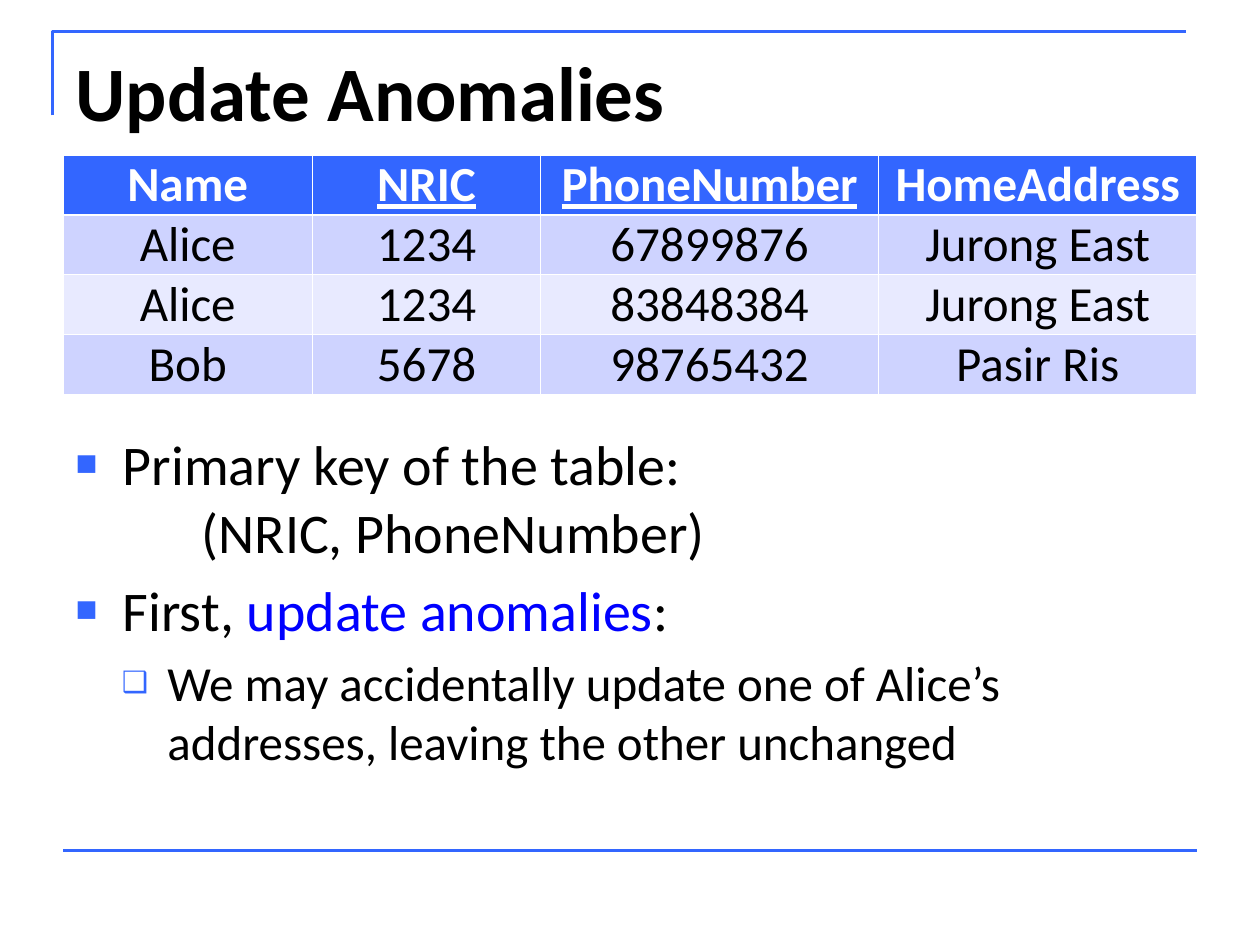
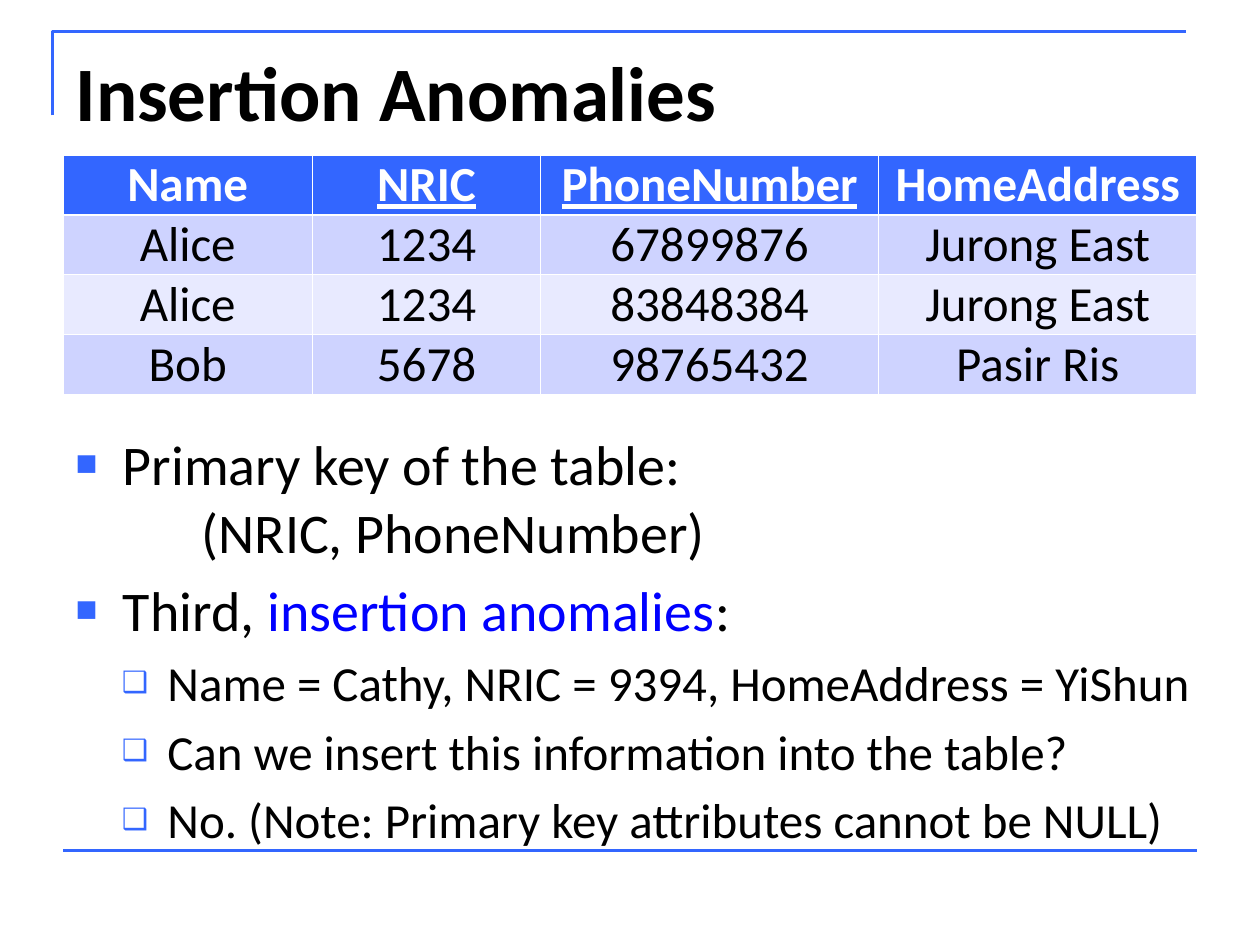
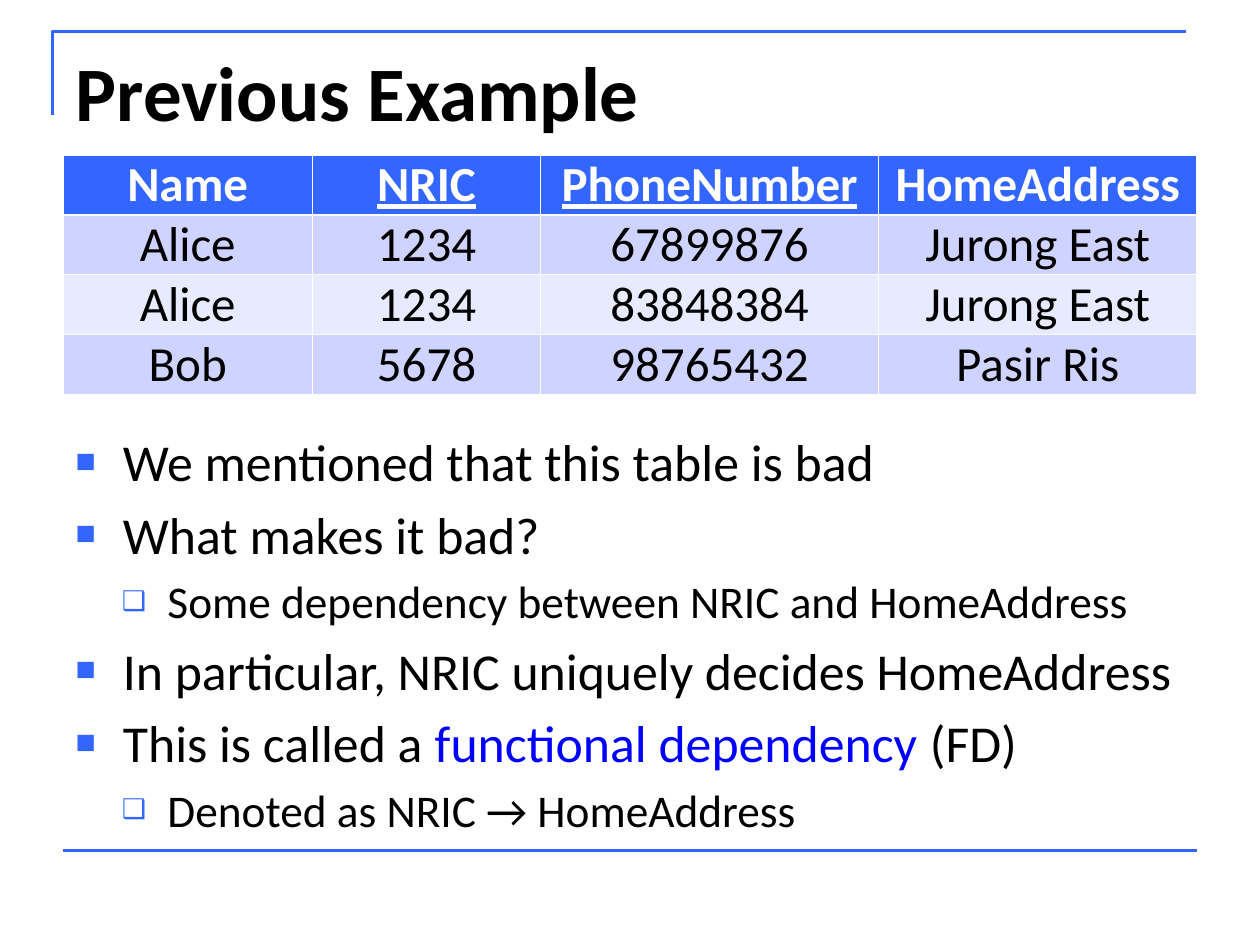
from lxml.etree import SubElement as Sub
from pptx import Presentation
from pptx.dml.color import RGBColor
from pptx.enum.shapes import MSO_CONNECTOR as Link
from pptx.enum.text import MSO_ANCHOR as Anchor, MSO_AUTO_SIZE as Fit, PP_ALIGN as Align
from pptx.oxml.ns import qn
from pptx.util import Pt

FONT = "Calibri"
BLUE, KEY, BLACK, WHITE = "3366FF", "0000FF", "000000", "FFFFFF"
DARK, PALE = "CED3FF", "E8EAFF"

# bullet, its size in percent, left margin, hanging indent
LEVELS = [("■", 65, 27, 27), ("❑", 60, 52.5, 26)]

COLS = [142.5, 130.5, 193, 182]
KEYS = ("NRIC", "PhoneNumber")
ROWS = [
    ("Name", "NRIC", "PhoneNumber", "HomeAddress"),
    ("Alice", "1234", "67899876", "Jurong East"),
    ("Alice", "1234", "83848384", "Jurong East"),
    ("Bob", "5678", "98765432", "Pasir Ris"),
]

PRIME = (0, "Primary key of the table: \v\t(NRIC, PhoneNumber)")

# title, text size of each level, list of (level, text); |bars| enclose key terms
SLIDES = [
    ("Update Anomalies", (32, 28), [
        PRIME,
        (0, "First, |update anomalies|:"),
        (1, "We may accidentally update one of Alice’s addresses, "
            "leaving the other unchanged"),
    ]),
    ("Insertion Anomalies", (32, 28), [
        PRIME,
        (0, "Third, |insertion anomalies|:"),
        (1, "Name = Cathy, NRIC = 9394, HomeAddress = YiShun"),
        (1, "Can we insert this information into the table?"),
        (1, "No. (Note: Primary key attributes cannot be NULL)"),
    ]),
    ("Previous Example", (29.6, 25.9), [
        (0, "We mentioned that this table is bad"),
        (0, "What makes it bad?"),
        (1, "Some dependency between NRIC and HomeAddress"),
        (0, "In particular, NRIC uniquely decides HomeAddress"),
        (0, "This is called a |functional dependency |(FD)"),
        (1, "Denoted as NRIC → HomeAddress"),
    ]),
]


def rgb(code):
    return RGBColor.from_string(code)


def style(run, size, color=BLACK, bold=False, under=False):
    font = run.font
    font.name, font.size, font.bold = FONT, Pt(size), bold
    font.underline = under
    font.color.rgb = rgb(color)


def place(shape, left, top, width, height):
    shape.left, shape.top = Pt(left), Pt(top)
    shape.width, shape.height = Pt(width), Pt(height)


def bullet(para, level):
    """Give the paragraph its level's bullet, indents and tab stop."""
    char, size, left, hang = LEVELS[level]
    para.level = level
    props = para._p.get_or_add_pPr()
    props.set("marL", str(Pt(left)))
    props.set("indent", str(-Pt(hang)))
    Sub(Sub(props, qn("a:buClr")), qn("a:srgbClr"), val=BLUE)
    Sub(props, qn("a:buSzPct"), val=str(size * 1000))
    Sub(props, qn("a:buChar"), char=char)
    Sub(Sub(props, qn("a:tabLst")), qn("a:tab"), pos=str(Pt(72)), algn="l")


class Deck:
    def __init__(self):
        self.prs = Presentation()
        self.prs.slide_width, self.prs.slide_height = Pt(720), Pt(540)
        self.slide = None

    def add(self, title):
        self.slide = self.prs.slides.add_slide(self.prs.slide_layouts[1])
        self.frame()
        self.title(title)

    def frame(self):
        """Draw the corner above the title and the rule at the foot."""
        shapes = self.slide.shapes
        pen = shapes.build_freeform(Pt(30), Pt(66))
        pen.add_line_segments([(Pt(30), Pt(18)), (Pt(678), Pt(18))], close=False)
        corner = pen.convert_to_shape()
        corner.fill.background()
        corner.shadow.inherit = False
        rule = shapes.add_connector(Link.STRAIGHT, Pt(36), Pt(486), Pt(684), Pt(486))
        Sub(rule._element.spPr, qn("a:effectLst"))
        for item in (corner, rule):
            item.line.color.rgb = rgb(BLUE)
            item.line.width = Pt(1.5)

    def title(self, text):
        shape = self.slide.shapes.title
        place(shape, 36, 21.6, 648, 90)
        box = shape.text_frame
        box.text = text
        box.auto_size, box.vertical_anchor = Fit.NONE, Anchor.TOP
        para = box.paragraphs[0]
        para.alignment = Align.LEFT
        style(para.runs[0], 44, bold=True)

    def table(self, rows, cols):
        height = 33.7
        grid = self.slide.shapes.add_table(
            len(rows), len(cols), Pt(36), Pt(88.5), Pt(sum(cols)), Pt(height * len(rows))
        ).table
        for col, width in zip(grid.columns, cols):
            col.width = Pt(width)
        for i, row in enumerate(rows):
            for j, text in enumerate(row):
                self.cell(grid.cell(i, j), text, i)

    def cell(self, cell, text, row):
        head = row == 0
        cell.text = text
        cell.margin_top = cell.margin_bottom = 0
        cell.fill.solid()
        cell.fill.fore_color.rgb = rgb(BLUE if head else DARK if row % 2 else PALE)
        para = cell.text_frame.paragraphs[0]
        para.alignment = Align.CENTER
        style(para.runs[0], 28, WHITE if head else BLACK, head, head and text in KEYS)

    def body(self, items, sizes):
        shape = self.slide.placeholders[1]
        place(shape, 36, 242, 664, 241)
        box = shape.text_frame
        box.auto_size, box.vertical_anchor = Fit.NONE, Anchor.TOP
        for i, (level, text) in enumerate(items):
            size = sizes[level]
            para = box.add_paragraph() if i else box.paragraphs[0]
            bullet(para, level)
            para.space_before = Pt(0.2 * size if i else 0)
            start, *rest = text.split("|")
            para.text = start
            for run in para.runs:
                style(run, size)
            for k, part in enumerate(rest):
                run = para.add_run()
                run.text = part
                style(run, size, BLACK if k % 2 else KEY)


def main():
    deck = Deck()
    for title, sizes, items in SLIDES:
        deck.add(title)
        deck.body(items, sizes)
        deck.table(ROWS, COLS)
    deck.prs.save("out.pptx")


if __name__ == "__main__":
    main()
